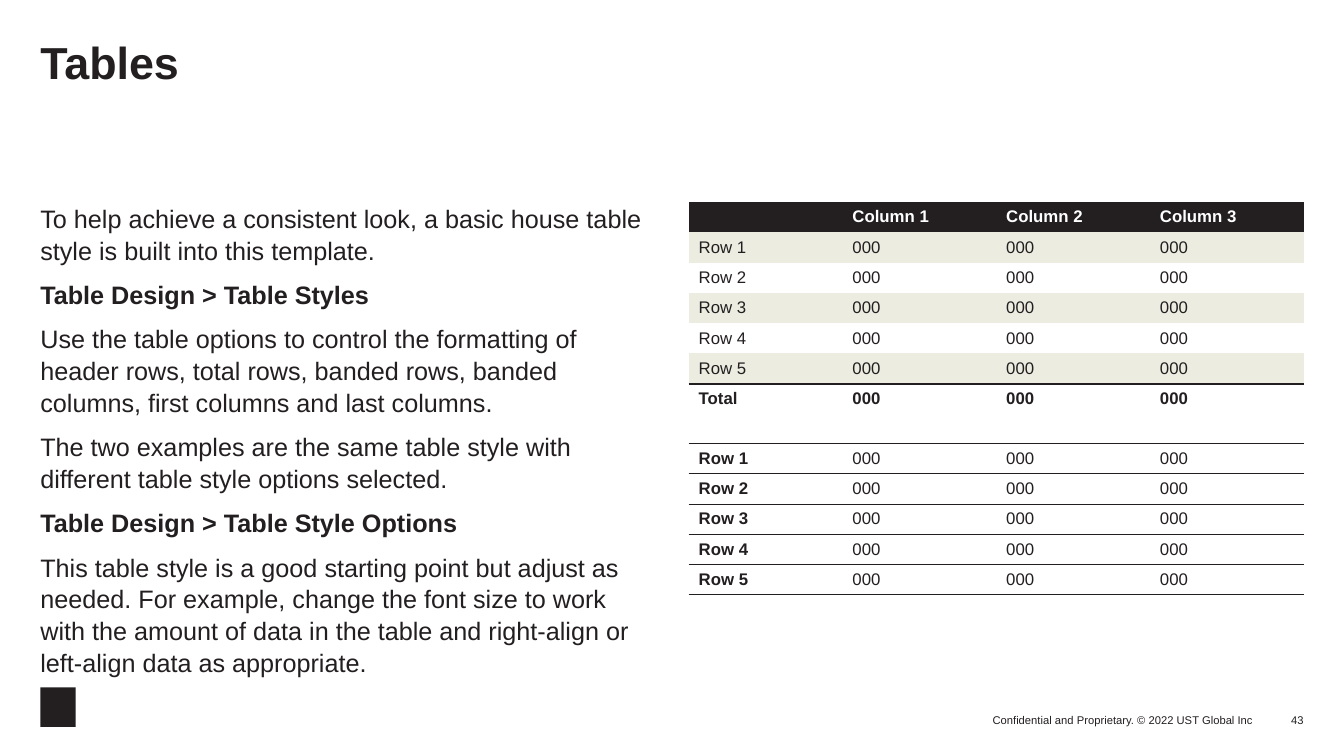
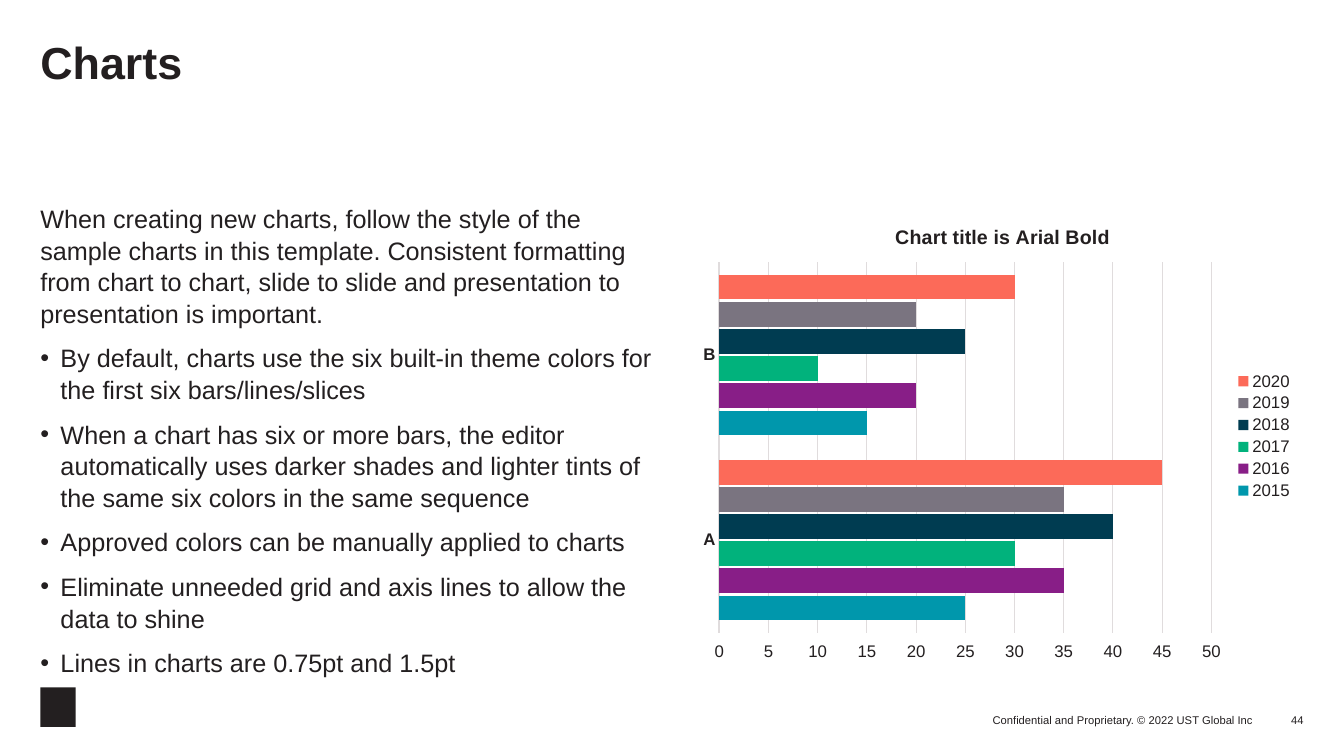
import dataclasses

import lxml.etree
import pptx
import pptx.chart.data
import pptx.dml.color
import pptx.enum.chart
import pptx.enum.shapes
import pptx.enum.text
import pptx.oxml.ns
import pptx.util

Inches = pptx.util.Inches
Pt = pptx.util.Pt
qn = pptx.oxml.ns.qn
ALIGN = pptx.enum.text.PP_ALIGN
ANCHOR = pptx.enum.text.MSO_ANCHOR


@dataclasses.dataclass(frozen=True)
class Theme:
    """Colours, type sizes and shared positions."""
    font: str = "Arial"
    ink: str = "231F20"
    paper: str = "FFFFFF"
    band: str = "ECECE1"
    grid: str = "E0DCDD"
    series: tuple = ("0097AC", "881E87", "01B27C", "003C51", "7A7480", "FC6A59")
    title_size: int = 32
    body_size: int = 18
    chart_title_size: int = 14
    data_size: int = 12
    footer_size: int = 8
    left: float = 0.4
    right: float = 6.83
    top: float = 2
    column: float = 6.1
    depth: float = 4.65
    row: float = 0.3


THEME = Theme()


def rgb(value):
    """Return a colour from its hex value."""
    return pptx.dml.color.RGBColor.from_string(value)


def set_font(font, size, color=THEME.ink, bold=False):
    """Apply the theme font to a font object."""
    font.name = THEME.font
    font.size = Pt(size)
    font.bold = bold
    font.color.rgb = rgb(color)


def write(paragraph, text, *, size, color=THEME.ink, bold=False, align=ALIGN.LEFT,
          spacing=None, before=0, bullet=None):
    """Fill one paragraph with formatted text."""
    paragraph.alignment = align
    paragraph.line_spacing = spacing
    paragraph.space_before = Pt(before)
    properties = paragraph._p.get_or_add_pPr()
    hang = Inches(0.2) if bullet else 0
    properties.set("marL", str(hang))
    properties.set("indent", str(-hang))
    if bullet:
        lxml.etree.SubElement(properties, qn("a:buChar")).set("char", bullet)
    else:
        lxml.etree.SubElement(properties, qn("a:buNone"))
    run = paragraph.add_run()
    run.text = text
    set_font(run.font, size, color, bold)


def rule(cell, side, width):
    """Draw a border on one side of a table cell."""
    line = lxml.etree.SubElement(cell._tc.get_or_add_tcPr(), qn(f"a:ln{side}"), w=str(Pt(width)))
    fill = lxml.etree.SubElement(line, qn("a:solidFill"))
    lxml.etree.SubElement(fill, qn("a:srgbClr")).set("val", THEME.ink)


def place(part, index, **fractions):
    """Fix the layout of a chart part as fractions of the chart."""
    for previous in part.findall(qn("c:layout")):
        part.remove(previous)
    layout = lxml.etree.Element(qn("c:layout"))
    manual = lxml.etree.SubElement(layout, qn("c:manualLayout"))
    if "w" in fractions:
        lxml.etree.SubElement(manual, qn("c:layoutTarget")).set("val", "inner")
    for axis in "xy":
        lxml.etree.SubElement(manual, qn(f"c:{axis}Mode")).set("val", "edge")
    for name, value in fractions.items():
        lxml.etree.SubElement(manual, qn(f"c:{name}")).set("val", str(value))
    part.insert(index, layout)


class Deck:
    """Holds the presentation, its theme and the current slide."""

    def __init__(self, theme, first_page):
        """Start an empty widescreen deck."""
        self.theme = theme
        self.page = first_page
        self.slide = None
        self.show = pptx.Presentation()
        self.show.slide_width = Inches(13.33)
        self.show.slide_height = Inches(7.5)

    def frame(self, shape, left, top, width, height, anchor=ANCHOR.TOP):
        """Position a text shape and return its bare text frame."""
        shape.left, shape.top = Inches(left), Inches(top)
        shape.width, shape.height = Inches(width), Inches(height)
        frame = shape.text_frame
        frame.word_wrap = True
        frame.auto_size = pptx.enum.text.MSO_AUTO_SIZE.NONE
        frame.vertical_anchor = anchor
        frame.margin_left = frame.margin_top = frame.margin_right = frame.margin_bottom = 0
        return frame

    def add_slide(self, title):
        """Add a slide with its title, brand mark and footer."""
        self.slide = self.show.slides.add_slide(self.show.slide_layouts[1])
        heading = self.frame(self.slide.shapes.title, self.theme.left, 0.4, 12.53, 1)
        write(heading.paragraphs[0], title, size=self.theme.title_size, bold=True, spacing=0.9)
        self.mark()
        self.footer("Confidential and Proprietary. © 2022 UST Global Inc", 8.99, 3.44)
        self.footer(str(self.page), 12.43, 0.5)
        self.page += 1

    def mark(self):
        """Put a plain block in the brand corner."""
        block = self.slide.shapes.add_shape(
            pptx.enum.shapes.MSO_SHAPE.RECTANGLE,
            Inches(self.theme.left), Inches(6.82), Inches(0.35), Inches(0.39))
        block.shadow.inherit = False
        block.fill.solid()
        block.fill.fore_color.rgb = rgb(self.theme.ink)
        block.line.fill.background()

    def footer(self, text, left, width):
        """Add one right-aligned footer text."""
        box = self.slide.shapes.add_textbox(0, 0, 0, 0)
        frame = self.frame(box, left, 7.01, width, 0.2, ANCHOR.BOTTOM)
        write(frame.paragraphs[0], text, size=self.theme.footer_size, align=ALIGN.RIGHT)

    def body(self, *entries):
        """Fill the body placeholder from (text, format) pairs."""
        theme = self.theme
        frame = self.frame(self.slide.placeholders[1], theme.left, theme.top, theme.column, theme.depth)
        for position, (text, style) in enumerate(entries):
            paragraph = frame.add_paragraph() if position else frame.paragraphs[0]
            write(paragraph, text, size=theme.body_size, spacing=1.05,
                  before=9 if position else 0, **style)

    def table(self, top, rows, *, header=False, total=False, banded=False,
              first_column=False, ruled=False):
        """Add a table with the chosen style options."""
        theme = self.theme
        table = self.slide.shapes.add_table(
            len(rows), len(rows[0]), Inches(theme.right), Inches(top),
            Inches(theme.column), Inches(theme.row * len(rows))).table
        table._tbl.tblPr.find(qn("a:tableStyleId")).text = "{2D5ABB26-0587-4C30-8999-92F81FD0307C}"
        table.first_row, table.last_row = header, total
        table.horz_banding, table.first_col = banded, first_column
        for r, values in enumerate(rows):
            table.rows[r].height = Inches(theme.row)
            is_header = header and r == 0
            is_total = total and r == len(rows) - 1
            fill = theme.ink if is_header else theme.band if banded and r % 2 and not is_total else None
            for c, value in enumerate(values):
                cell = table.cell(r, c)
                cell.margin_left = cell.margin_right = Inches(0.1)
                cell.margin_top = cell.margin_bottom = 0
                cell.vertical_anchor = ANCHOR.MIDDLE
                if is_total:
                    rule(cell, "T", 1.5)
                if ruled:
                    rule(cell, "T", 0.5)
                    rule(cell, "B", 0.5)
                if fill:
                    cell.fill.solid()
                    cell.fill.fore_color.rgb = rgb(fill)
                else:
                    cell.fill.background()
                if value:
                    write(cell.text_frame.paragraphs[0], value, size=theme.data_size,
                          color=theme.paper if is_header else theme.ink,
                          bold=is_header or is_total or (first_column and c == 0))

    def bar_chart(self, title, categories, series):
        """Add a clustered bar chart with a legend on the right."""
        theme = self.theme
        data = pptx.chart.data.CategoryChartData()
        data.categories = categories
        for name, values in series.items():
            data.add_series(name, values)
        chart = self.slide.shapes.add_chart(
            pptx.enum.chart.XL_CHART_TYPE.BAR_CLUSTERED, Inches(theme.right), Inches(theme.top),
            Inches(theme.column), Inches(theme.depth), data).chart
        set_font(chart.font, theme.data_size)
        chart.has_title = True
        write_to = chart.chart_title.text_frame.paragraphs[0].add_run()
        write_to.text = title
        set_font(write_to.font, theme.chart_title_size, bold=True)
        chart.has_legend = True
        chart.legend.position = pptx.enum.chart.XL_LEGEND_POSITION.RIGHT
        chart.legend.include_in_layout = False
        set_font(chart.legend.font, theme.data_size)
        plot = chart.plots[0]
        plot.gap_width, plot.overlap, plot.vary_by_categories = 100, -10, False
        for bars, color in zip(plot.series, theme.series):
            bars.invert_if_negative = False
            bars.format.fill.solid()
            bars.format.fill.fore_color.rgb = rgb(color)
        groups, scale = chart.category_axis, chart.value_axis
        groups.major_tick_mark = pptx.enum.chart.XL_TICK_MARK.NONE
        set_font(groups.tick_labels.font, theme.data_size, bold=True)
        scale.minimum_scale, scale.maximum_scale, scale.major_unit = 0, 50, 5
        scale.major_tick_mark = pptx.enum.chart.XL_TICK_MARK.OUTSIDE
        set_font(scale.tick_labels.font, theme.data_size)
        scale.format.line.fill.background()
        for line, width in ((groups.format.line, 1.5), (scale.major_gridlines.format.line, 0.75)):
            line.color.rgb = rgb(theme.grid)
            line.width = Pt(width)
        place(chart.element.find(f".//{qn('c:plotArea')}"), 0, x=0.05, y=0.13, w=0.8, h=0.79)
        place(chart.element.find(f".//{qn('c:title')}"), 1, x=0.33, y=0.04)


def main():
    """Build the table and chart guidance slides."""
    deck = Deck(THEME, first_page=43)
    plain, strong, bullet = {}, {"bold": True}, {"bullet": "•"}
    numbers = ["000"] * 3
    rows = [[f"Row {n}", *numbers] for n in range(1, 6)]

    deck.add_slide("Tables")
    deck.body(
        ("To help achieve a consistent look, a basic house table style is built into this template.", plain),
        ("Table Design > Table Styles", strong),
        ("Use the table options to control the formatting of header rows, total rows, "
         "banded rows, banded columns, first columns and last columns.", plain),
        ("The two examples are the same table style with different table style options selected.", plain),
        ("Table Design > Table Style Options", strong),
        ("This table style is a good starting point but adjust as needed. For example, "
         "change the font size to work with the amount of data in the table and "
         "right-align or left-align data as appropriate.", plain))
    headings = ["", *(f"Column {n}" for n in range(1, 4))]
    deck.table(THEME.top, [headings, *rows, ["Total", *numbers]], header=True, total=True, banded=True)
    deck.table(4.4, rows, first_column=True, ruled=True)

    deck.add_slide("Charts")
    deck.body(
        ("When creating new charts, follow the style of the sample charts in this template. "
         "Consistent formatting from chart to chart, slide to slide and presentation to "
         "presentation is important.", plain),
        ("By default, charts use the six built-in theme colors for the first six bars/lines/slices", bullet),
        ("When a chart has six or more bars, the editor automatically uses darker shades and "
         "lighter tints of the same six colors in the same sequence", bullet),
        ("Approved colors can be manually applied to charts", bullet),
        ("Eliminate unneeded grid and axis lines to allow the data to shine", bullet),
        ("Lines in charts are 0.75pt and 1.5pt", bullet))
    deck.bar_chart("Chart title is Arial Bold", ["A", "B"], {
        "2015": (25, 15), "2016": (35, 20), "2017": (30, 10),
        "2018": (40, 25), "2019": (35, 20), "2020": (45, 30)})

    deck.show.save("out.pptx")


if __name__ == "__main__":
    main()
